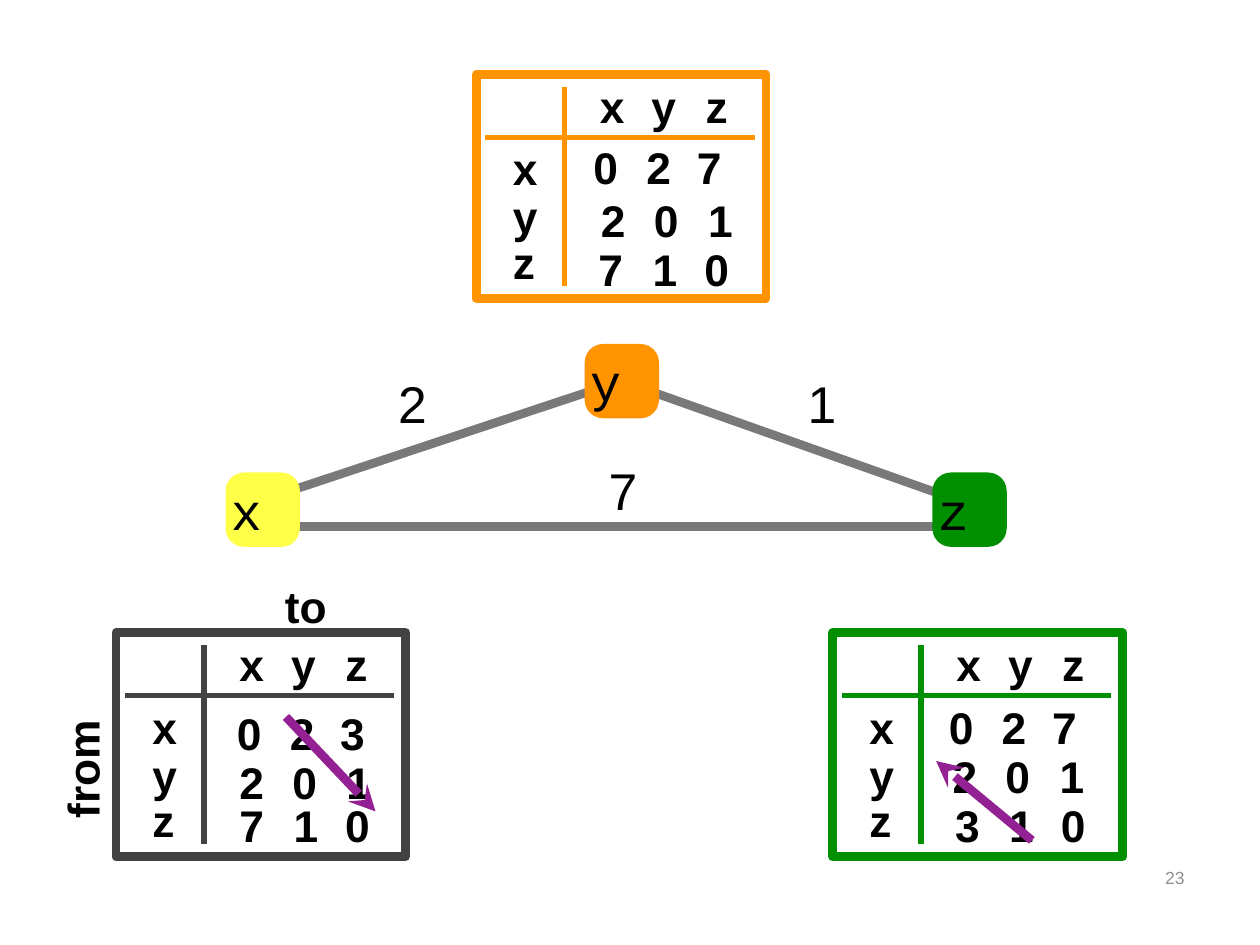
from dataclasses import dataclass

from lxml import etree
from pptx import Presentation
from pptx import util as u
from pptx.dml.color import RGBColor
from pptx.enum import shapes, text
from pptx.oxml.ns import qn

PX = 9144  # EMU per px, at 100 px to the inch


@dataclass(frozen=True)
class Theme:
    ink: str = "000000"
    edge: str = "797979"
    muted: str = "919191"
    yellow: str = "FFFF47"
    orange: str = "FF9300"
    green: str = "008F00"
    dark: str = "424242"
    purple: str = "942193"
    font: str = "Arial"
    node_font: str = "Courier New"
    cell_size: float = 25.3
    graph_size: float = 29.5
    number_size: float = 10
    thick: int = 5
    thin: int = 3


def px(*lengths):
    return [u.Emu(length * PX) for length in lengths]


class Painter:
    def __init__(self, slide, theme):
        self.slide = slide
        self.theme = theme

    def fill_text(self, frame, words, size, font, inset, bold=None, color=None):
        frame.word_wrap = True
        frame.vertical_anchor = text.MSO_ANCHOR.MIDDLE
        frame.margin_left = frame.margin_right = u.Emu(inset * PX)
        frame.margin_top = frame.margin_bottom = u.Emu(inset * PX)
        para = frame.paragraphs[0]
        para.alignment = text.PP_ALIGN.LEFT
        span = para.add_run()
        span.text = words
        span.font.name = font
        span.font.size = u.Pt(size)
        span.font.bold = bold
        span.font.color.rgb = RGBColor.from_string(color or self.theme.ink)

    def label(self, words, left, top, width, height):
        """Add a bold table letter, digit or caption."""
        box = self.slide.shapes.add_textbox(*px(left, top, width, height))
        self.fill_text(box.text_frame, words, self.theme.cell_size,
                       self.theme.font, 4, bold=True)
        return box

    def cost(self, words, left, top):
        """Add the cost beside a graph edge."""
        box = self.slide.shapes.add_textbox(*px(left, top, 29, 58))
        self.fill_text(box.text_frame, words, self.theme.graph_size,
                       self.theme.font, 4)
        box.text_frame.auto_size = text.MSO_AUTO_SIZE.SHAPE_TO_FIT_TEXT

    def slide_number(self, words):
        box = self.slide.shapes.add_textbox(*px(717, 683, 233, 50))
        self.fill_text(box.text_frame, words, self.theme.number_size,
                       self.theme.font, 5, color=self.theme.muted)
        box.text_frame.margin_right = u.Inches(0.1)
        box.text_frame.vertical_anchor = text.MSO_ANCHOR.TOP
        box.text_frame.paragraphs[0].alignment = text.PP_ALIGN.RIGHT

    def line(self, start, end, color, width, arrow=False):
        """Draw a line; an arrow has its head at start."""
        line = self.slide.shapes.add_connector(
            shapes.MSO_CONNECTOR.STRAIGHT, *px(*start, *end))
        line.line.color.rgb = RGBColor.from_string(color)
        line.line.width = u.Pt(width)
        properties = line._element.spPr
        if arrow:
            etree.SubElement(properties.find(qn("a:ln")), qn("a:headEnd"),
                             type="stealth")
        etree.SubElement(properties, qn("a:effectLst"))

    def node(self, name, left, top, color):
        node = self.slide.shapes.add_shape(
            shapes.MSO_SHAPE.ROUNDED_RECTANGLE, *px(left, top, 59, 59))
        node.adjustments[0] = 0.25
        node.shadow.inherit = False
        node.fill.solid()
        node.fill.fore_color.rgb = RGBColor.from_string(color)
        node.line.fill.background()
        self.fill_text(node.text_frame, name, self.theme.graph_size,
                       self.theme.node_font, 0)

    def distance_table(self, left, top, color, rows):
        """Draw a framed table; each row is its digits and its first cell's offset."""
        frame = self.slide.shapes.add_shape(
            shapes.MSO_SHAPE.RECTANGLE, *px(left, top, 230, 178))
        frame.shadow.inherit = False
        frame.fill.background()
        frame.line.color.rgb = RGBColor.from_string(color)
        frame.line.width = u.Pt(self.theme.thick)
        self.line((left + 7, top + 50), (left + 221, top + 50), color, self.theme.thin)
        self.line((left + 70, top + 168), (left + 70, top + 10), color, self.theme.thin)
        for name, column, row in zip("xyz", (94, 135, 178), (49, 87, 123)):
            self.label(name, left + column, top + 2, 29, 46)
            self.label(name, left + 25, top + row, 26, 51)
        columns = ((0, 42, 82), (0, 42, 85), (0, 43, 84))
        for (digits, across, down), steps in zip(rows, columns):
            for digit, step in zip(digits, steps):
                self.label(digit, left + across + step, top + down, 20, 51)


def main():
    deck = Presentation()
    deck.slide_width, deck.slide_height = px(1000, 750)
    theme = Theme()
    page = Painter(deck.slides.add_slide(deck.slide_layouts[6]), theme)

    for start, end in (((476, 308), (223, 392)),
                       ((230, 418), (763, 418)),
                       ((509, 308), (763, 398))):
        page.line(start, end, theme.edge, theme.thick)
    page.slide_number("23")
    page.node("x", 179, 375, theme.yellow)
    page.node("z", 740, 375, theme.green)
    page.node("y", 464, 273, theme.orange)
    page.cost("7", 479, 360)
    page.cost("2", 312, 291)
    page.cost("1", 637, 291)

    page.distance_table(378, 59, theme.orange,
                        (("027", 89, 48), ("201", 95, 90), ("710", 93, 129)))
    page.distance_table(92, 502, theme.dark,
                        (("023", 92, 54), ("201", 94, 93), ("710", 94, 127)))
    page.distance_table(661, 502, theme.green,
                        (("027", 88, 49), ("201", 91, 88), ("310", 93, 127)))
    page.label("from", 13, 576, 104, 51).rotation = 270
    page.label("to", 222, 455, 51, 51)
    page.line((298, 644), (227, 569), theme.purple, theme.thick, arrow=True)
    page.line((743, 604), (819, 667), theme.purple, theme.thick, arrow=True)
    deck.save("out.pptx")


if __name__ == "__main__":
    main()
